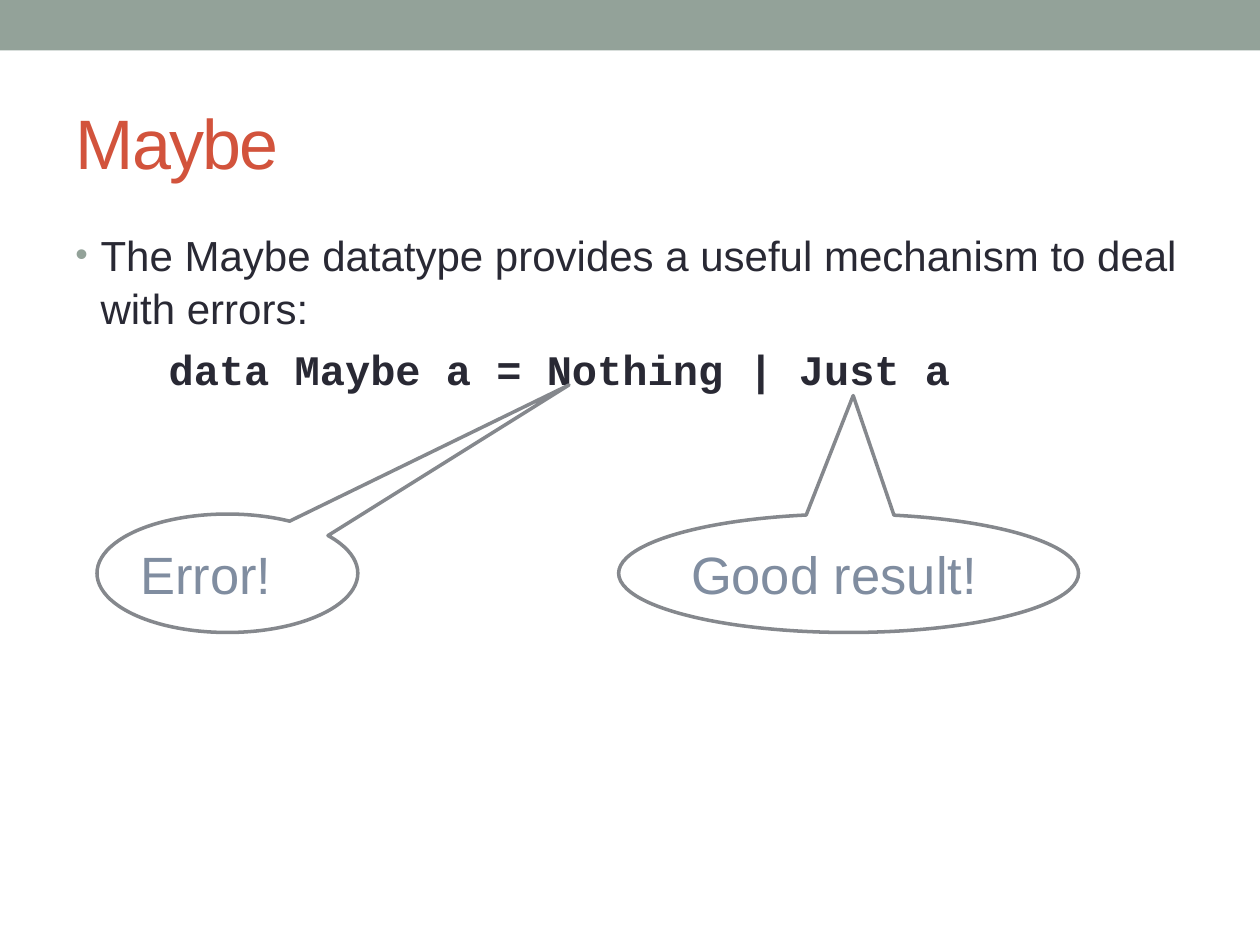
from dataclasses import dataclass

from lxml.etree import SubElement
from pptx import Presentation
from pptx.dml.color import RGBColor as RGB
from pptx.enum.shapes import MSO_SHAPE as SHAPE
from pptx.enum.text import MSO_ANCHOR as ANCHOR, MSO_AUTO_SIZE as AUTO, PP_ALIGN as ALIGN
from pptx.oxml.ns import qn
from pptx.util import Inches, Pt


@dataclass(frozen=True)
class Theme:
    sage: RGB = RGB.from_string("93A299")
    title: RGB = RGB.from_string("D2533C")
    ink: RGB = RGB.from_string("292934")
    outline: RGB = RGB.from_string("85888D")
    note: RGB = RGB.from_string("808DA0")
    sans: str = "Arial"
    mono: str = "Courier New"
    title_size: int = 40
    body_size: int = 24
    note_size: int = 30


THEME = Theme()


def place(sp, box):
    sp.left, sp.top, sp.width, sp.height = (Inches(v) for v in box)


def style(p, size, color, font=THEME.sans, bold=False):
    p.alignment = ALIGN.LEFT
    for r in p.runs:
        r.font.size, r.font.name, r.font.bold = Pt(size), font, bold
        r.font.color.rgb = color


def indent(p, left, first=0):
    pPr = p._p.get_or_add_pPr()
    pPr.set("marL", str(Inches(left)))
    pPr.set("indent", str(Inches(first)))
    return pPr


def add_bullet(p):
    pPr = indent(p, 0.2, -0.2)
    color = SubElement(pPr, qn("a:buClr"))
    SubElement(color, qn("a:srgbClr"), val=str(THEME.sage))
    SubElement(pPr, qn("a:buSzPct"), val="85000")
    SubElement(pPr, qn("a:buFont"), typeface=THEME.sans)
    SubElement(pPr, qn("a:buChar"), char="•")


def add_band(slide, box):
    sp = slide.shapes.add_shape(SHAPE.RECTANGLE, *(Inches(v) for v in box))
    sp.shadow.inherit = False
    sp.fill.solid()
    sp.fill.fore_color.rgb = THEME.sage
    sp.line.fill.background()


def set_title(slide, box, text):
    sp = slide.shapes.title
    place(sp, box)
    tf = sp.text_frame
    tf.text = text
    tf.auto_size = AUTO.NONE
    tf.vertical_anchor = ANCHOR.MIDDLE
    p = tf.paragraphs[0]
    style(p, THEME.title_size, THEME.title)
    p.runs[0].font._element.set("spc", "-100")


def add_body(slide, box, statement, code):
    tf = slide.shapes.add_textbox(*(Inches(v) for v in box)).text_frame
    tf.word_wrap = True
    tf.text = statement
    intro, sample = tf.paragraphs[0], tf.add_paragraph()
    sample.text = code
    for p in (intro, sample):
        p.space_before = Pt(5)
        p.line_spacing = 1.05
    style(intro, THEME.body_size, THEME.ink)
    style(sample, THEME.body_size, THEME.ink, THEME.mono, bold=True)
    add_bullet(intro)
    indent(sample, 0.74)


def add_callout(slide, box, text, tip):
    """Add an oval callout; tip is the offset from its centre in widths and heights."""
    sp = slide.shapes.add_shape(SHAPE.OVAL_CALLOUT, *(Inches(v) for v in box))
    sp.shadow.inherit = False
    sp.adjustments[0], sp.adjustments[1] = tip
    sp.fill.background()
    sp.line.color.rgb = THEME.outline
    sp.line.width = Pt(2)
    tf = sp.text_frame
    tf.margin_left = tf.margin_right = tf.margin_top = tf.margin_bottom = Inches(0.04)
    tf.vertical_anchor = ANCHOR.MIDDLE
    tf.text = text
    style(tf.paragraphs[0], THEME.note_size, THEME.note)


def main():
    prs = Presentation()
    prs.slide_width, prs.slide_height = Inches(10), Inches(7.5)
    slide = prs.slides.add_slide(prs.slide_layouts[5])
    add_band(slide, (0, 0, 10, 0.4))
    set_title(slide, (0.5, 0.58, 9, 1.08), "Maybe")
    add_body(slide, (0.5, 1.75, 9, 5.33),
             "The Maybe datatype provides a useful mechanism to deal with errors:",
             "data Maybe a = Nothing | Just a")
    add_callout(slide, (0.77, 4.08, 2.07, 0.94), "Error!", (1.31, -1.59))
    add_callout(slide, (4.91, 4.08, 3.65, 0.94), "Good result!", (0.01, -1.5))
    prs.save("out.pptx")


if __name__ == "__main__":
    main()
